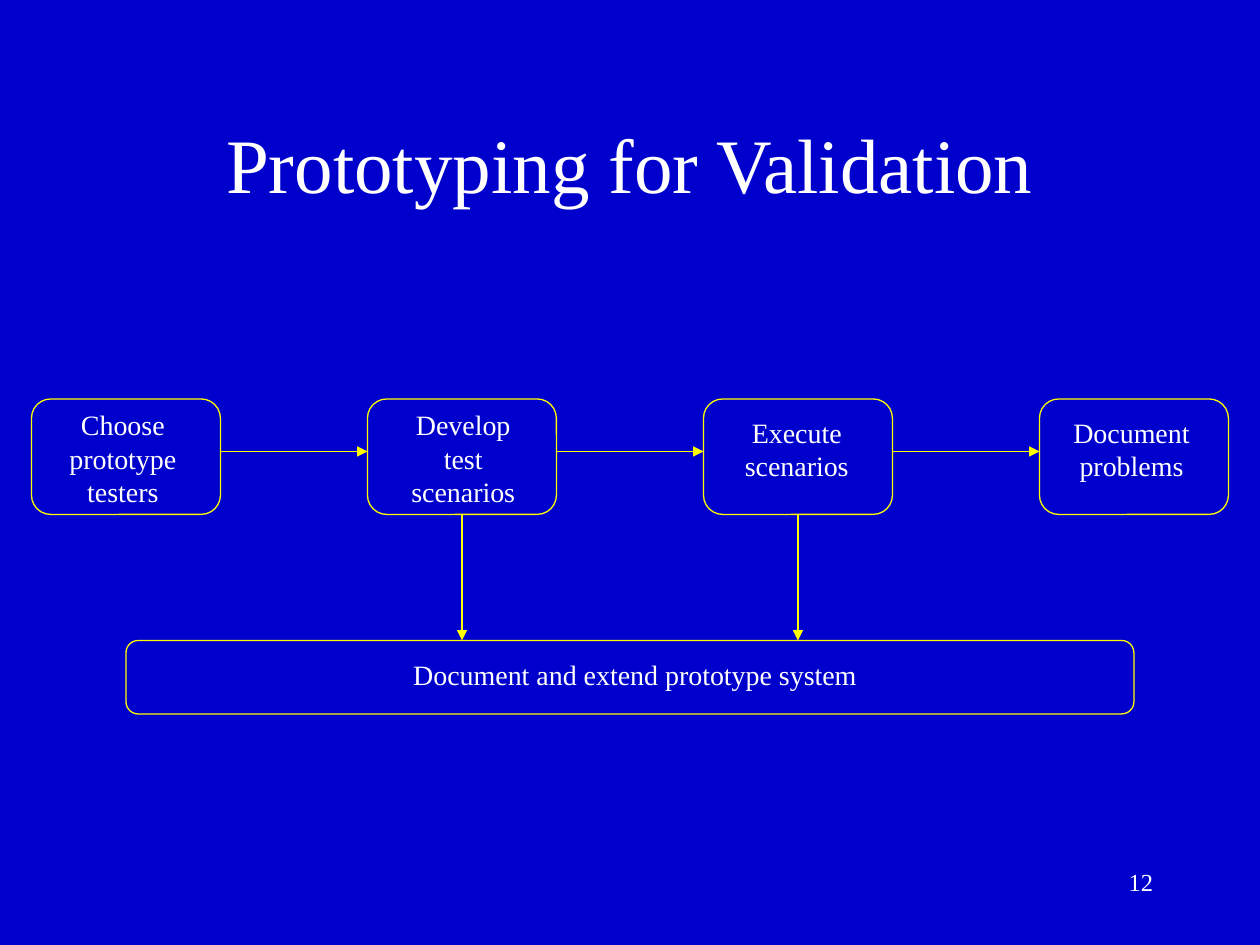
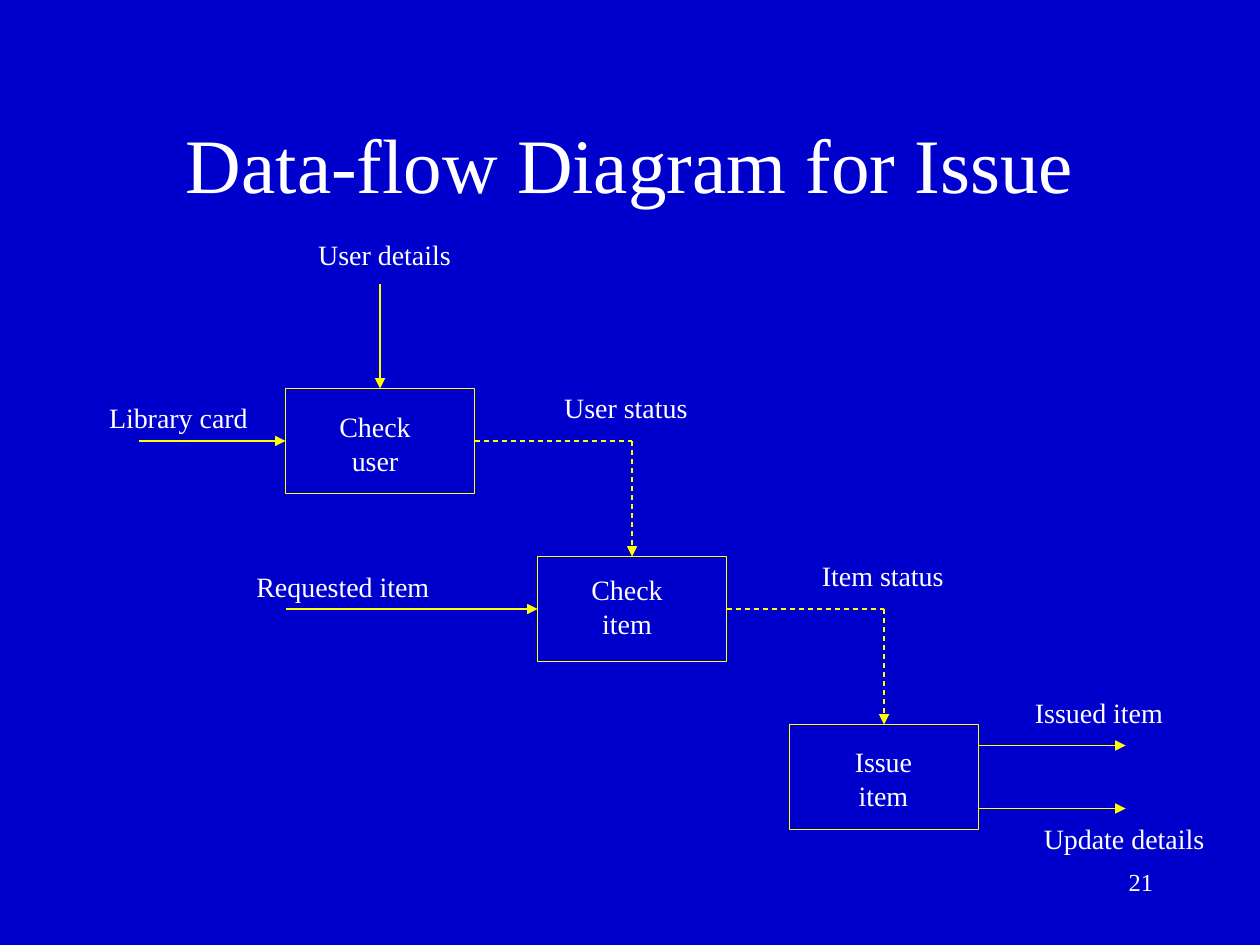
from lxml import etree
from pptx import Presentation
from pptx.dml.color import RGBColor
from pptx.enum.dml import MSO_LINE
from pptx.enum.shapes import MSO_CONNECTOR, MSO_SHAPE
from pptx.enum.text import MSO_ANCHOR, MSO_AUTO_SIZE, PP_ALIGN
from pptx.oxml.ns import qn
from pptx.util import Inches, Pt

BLUE, YELLOW, WHITE = "0000CC", "FFFF00", "FFFFFF"
FONT = "Times New Roman"
CENTER, RIGHT = PP_ALIGN.CENTER, PP_ALIGN.RIGHT
MIDDLE = MSO_ANCHOR.MIDDLE
FIXED, GROW = MSO_AUTO_SIZE.NONE, MSO_AUTO_SIZE.SHAPE_TO_FIT_TEXT
STRAIGHT = MSO_CONNECTOR.STRAIGHT
ROUND, RECT = MSO_SHAPE.ROUNDED_RECTANGLE, MSO_SHAPE.RECTANGLE
DASH = MSO_LINE.DASH
STEP_W = 1.5
UNIT = 1 / 12  # grid step of both diagrams, in inches


def color(code):
    return RGBColor.from_string(code)


def place(*sizes):
    return [Inches(size) for size in sizes]


def write(frame, text, size, align):
    frame.text = text
    for para in frame.paragraphs:
        para.alignment = align
        for run in para.runs:
            run.font.size = Pt(size)
            run.font.name = FONT
            run.font.color.rgb = color(WHITE)


def stroke(line):
    line.color.rgb = color(YELLOW)
    line.width = Pt(0.75)


def outline(slide, kind, x, y, w, h):
    shape = slide.shapes.add_shape(kind, *place(x, y, w, h))
    shape.shadow.inherit = False
    shape.fill.background()
    stroke(shape.line)


def link(slide, x1, y1, x2, y2, head=True, dash=False):
    """Draw a straight line, with an arrowhead at its end if head is set."""
    wire = slide.shapes.add_connector(STRAIGHT, *place(x1, y1, x2, y2))
    stroke(wire.line)
    if dash:
        wire.line.dash_style = DASH
    props = wire._element.spPr
    if head:
        etree.SubElement(props.find(qn("a:ln")), qn("a:tailEnd"), type="triangle")
    etree.SubElement(props, qn("a:effectLst"))


def label(slide, text, x, y, w):
    """Add a centred text whose height follows from its number of lines."""
    height = 0.1 + 0.27 * len(text.split("\n"))
    box = slide.shapes.add_textbox(*place(x, y, w, height))
    frame = box.text_frame
    frame.word_wrap = False
    frame.auto_size = GROW
    frame.margin_left = frame.margin_right = Inches(0.08)
    write(frame, text, 16, CENTER)


def new_slide(deck, title, number):
    slide = deck.slides.add_slide(deck.slide_layouts[5])
    head = slide.shapes.title
    head.left, head.top, head.width, head.height = place(0.75, 0.67, 8.5, 1.25)
    head.text_frame.vertical_anchor = MIDDLE
    head.text_frame.auto_size = FIXED
    write(head.text_frame, title, 44, CENTER)
    foot = slide.shapes.add_textbox(*place(7.17, 6.83, 2.08, 0.5))
    foot.text_frame.word_wrap = True
    write(foot.text_frame, number, 14, RIGHT)
    return slide


def test_flow(slide, left, top, width):
    """Draw a row of steps, two of which feed the bar below."""
    steps = [
        ("Choose\nprototype\ntesters", 0.2, 0.02, 1.05),
        ("Develop\ntest\nscenarios", 0.25, 0.02, 1.02),
        ("Execute\nscenarios", 0.23, 0.08, 1.02),
        ("Document\nproblems", 0.17, 0.08, 1.12),
    ]
    high, axis, bar_top = 11 * UNIT, top + 5 * UNIT, top + 23 * UNIT
    pitch = (width - STEP_W) / (len(steps) - 1)
    for i, (text, dx, dy, w) in enumerate(steps):
        x = left + i * pitch
        outline(slide, ROUND, x, top, STEP_W, high)
        label(slide, text, x + dx, top + dy, w)
        if i:
            link(slide, x - pitch + STEP_W, axis, x, axis)
        if i in (1, 2):
            mid = x + STEP_W / 2
            link(slide, mid, top + high, mid, bar_top)
    outline(slide, ROUND, left + 0.75, bar_top, width - 1.5, 7 * UNIT)
    label(slide, "Document and extend prototype system",
          left + 2.93, bar_top + 0.09, 3.72)


def issue_flow(slide, left, top):
    """Draw a staircase of steps with the data that enters and leaves."""
    steps = [
        ("Check\nuser", 0.33, 0.12, 0.76),
        ("Check\nitem", 0.33, 0.08, 0.76),
        ("Issue\nitem", 0.42, 0.11, 0.65),
    ]
    across, down, high, arrow = 2, 16 * UNIT, 10 * UNIT, 14 * UNIT
    half = high / 2
    for i, (text, dx, dy, w) in enumerate(steps):
        x, y = left + i * across, top + i * down
        outline(slide, RECT, x, y, STEP_W, high)
        label(slide, text, x + dx, y + dy, w)
        if i:
            mid, axis = x + STEP_W / 2, y - down + half
            link(slide, x - across + STEP_W, axis, mid, axis, head=False, dash=True)
            link(slide, mid, axis, mid, y, dash=True)

    link(slide, left + STEP_W / 2, top - high, left + STEP_W / 2, top)
    link(slide, left - arrow, top + half, left, top + half)
    link(slide, left, top + down + half, left + across, top + down + half)
    end = left + 2 * across + STEP_W
    for dy in (2 * UNIT, 8 * UNIT):
        y = top + 2 * down + dy
        link(slide, end, y, end + arrow, y)

    flows = [
        ("User details", 0.16, -1.25, 1.25),
        ("Library card", -1.5, 0.05, 1.3),
        ("Requested item", -0.33, 1.39, 1.57),
        ("User status", 2.11, -0.03, 1.18),
        ("Item status", 4.16, 1.3, 1.16),
        ("Issued item", 5.85, 2.39, 1.21),
        ("Update details", 5.92, 3.39, 1.47),
    ]
    for text, dx, dy, w in flows:
        label(slide, text, left + dx, top + dy, w)


def main():
    deck = Presentation()
    deck.slide_width, deck.slide_height = place(10, 7.5)
    back = deck.slide_master.background.fill
    back.solid()
    back.fore_color.rgb = color(BLUE)
    flow = new_slide(deck, "Prototyping for Validation", "12")
    test_flow(flow, 0.25, 38 * UNIT, 9.5)
    issue = new_slide(deck, "Data-flow Diagram for Issue", "21")
    issue_flow(issue, 27.2 * UNIT, 37 * UNIT)
    deck.save("out.pptx")


if __name__ == "__main__":
    main()
